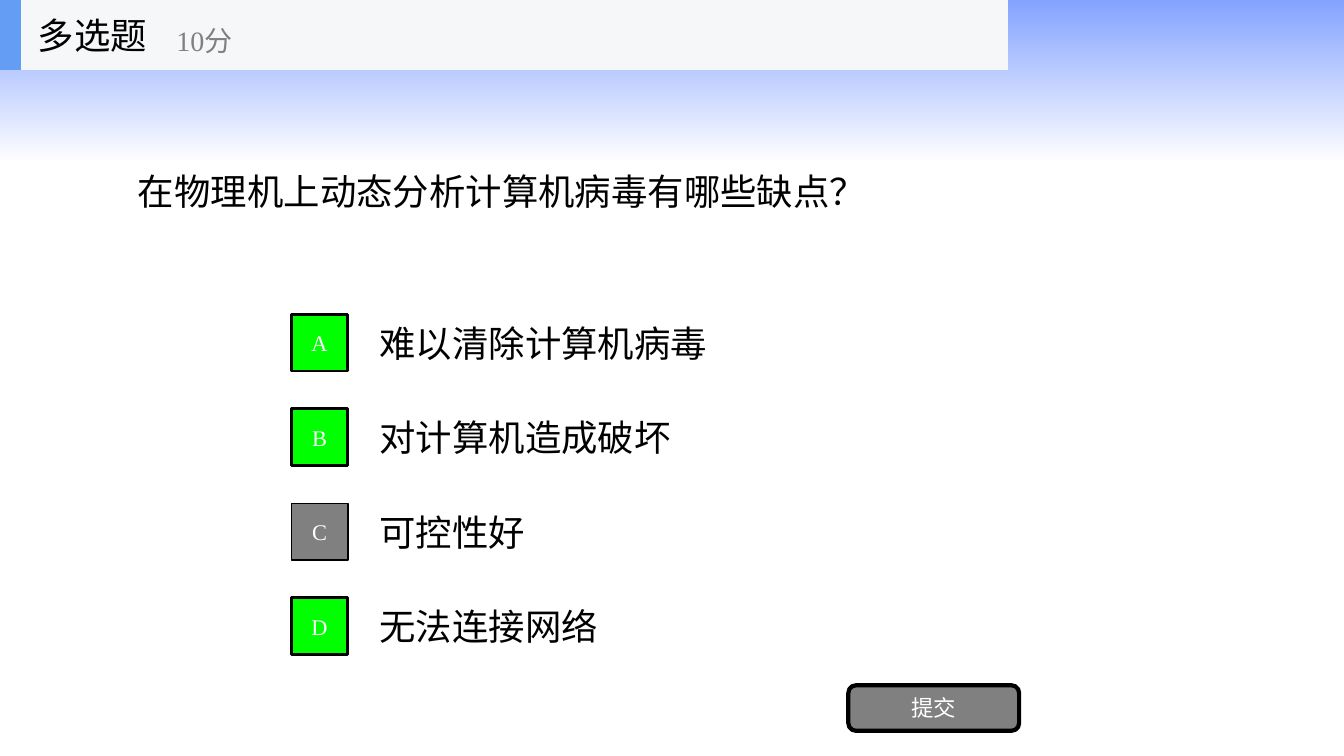
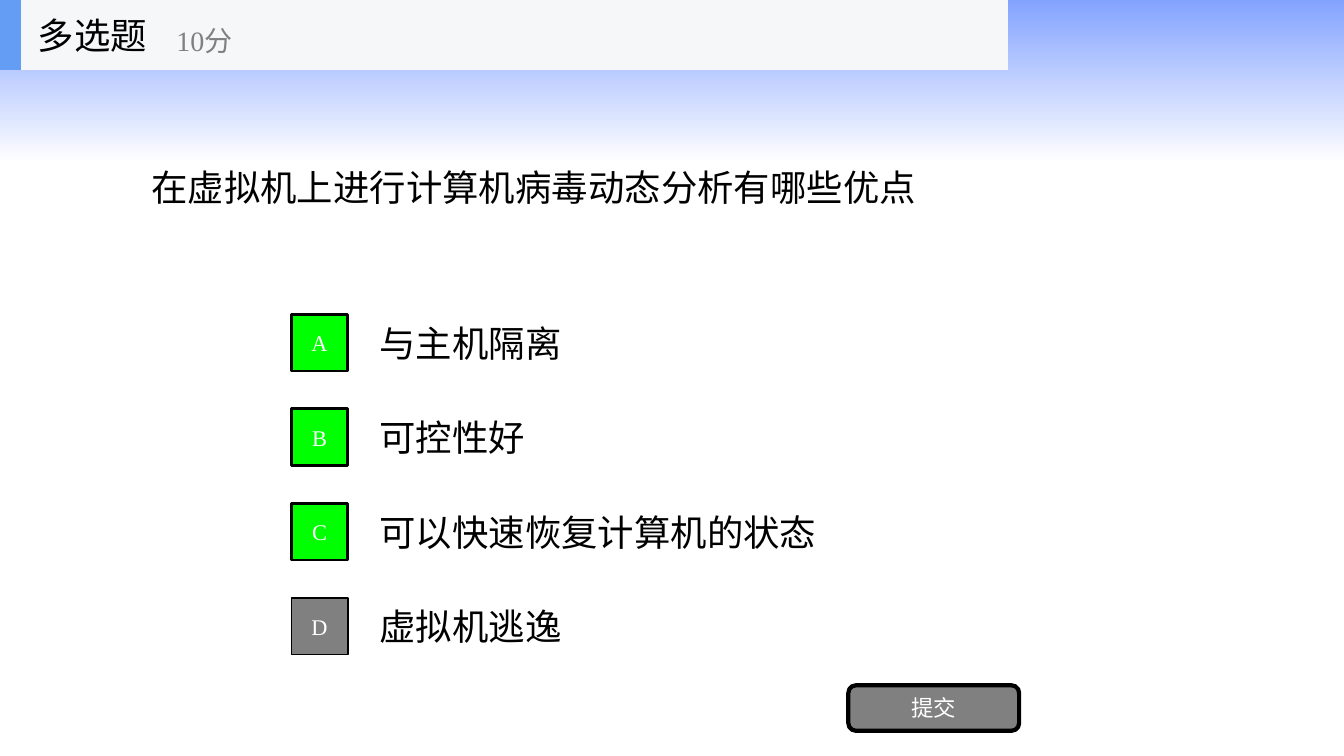
import pptx
import pptx.util
import pptx.dml.color
import pptx.enum.shapes
import pptx.enum.text

Pt = pptx.util.Pt
RECTANGLE = pptx.enum.shapes.MSO_SHAPE.RECTANGLE
ROUNDED = pptx.enum.shapes.MSO_SHAPE.ROUNDED_RECTANGLE
ALIGN = pptx.enum.text.PP_ALIGN
FONT = "Times New Roman"
COLOURS = {
    "black": "000000",
    "white": "FFFFFF",
    "grey": "808080",
    "correct": "00FF00",
    "header": "F6F7F8",
    "accent": "639EF4",
    "sky": "84A3FF",
}

QUESTIONS = [
    {
        "text": "在物理机上动态分析计算机病毒有哪些缺点？",
        "place": (91.5, 52.5, 704, 168.5),
        "options": ["难以清除计算机病毒", "对计算机造成破坏", "可控性好", "无法连接网络"],
        "correct": "ABD",
    },
    {
        "text": "在虚拟机上进行计算机病毒动态分析有哪些优点",
        "place": (101, 49.5, 667.5, 168.5),
        "options": ["与主机隔离", "可控性好", "可以快速恢复计算机的状态", "虚拟机逃逸"],
        "correct": "ABC",
    },
]

# Option rows
ROW_TOP, ROW_HEIGHT, ROW_PITCH = 219.5, 50.5, 67.5
BADGE_SIZE = 40.5


def add_block(page, place, fill, preset=RECTANGLE, line_width=0):
    """Add a preset shape with a plain fill and an optional black outline."""
    block = page.shapes.add_shape(preset, *map(Pt, place))
    block.shadow.inherit = False
    block.fill.solid()
    block.fill.fore_color.rgb = pptx.dml.color.RGBColor.from_string(COLOURS[fill])
    if line_width:
        block.line.color.rgb = pptx.dml.color.RGBColor.from_string(COLOURS["black"])
        block.line.width = Pt(line_width)
    else:
        block.line.fill.background()
    return block


def add_text(page, text, place=None, box=None, size=26, colour="black", align=ALIGN.LEFT):
    """Write text into the given box, or into a new text box at place."""
    box = box or page.shapes.add_textbox(*map(Pt, place))
    frame = box.text_frame
    frame.word_wrap = True
    frame.vertical_anchor = pptx.enum.text.MSO_ANCHOR.MIDDLE
    para = frame.paragraphs[0]
    para.alignment = align
    span = para.add_run()
    span.text = text
    span.font.name = FONT
    span.font.size = Pt(size)
    span.font.color.rgb = pptx.dml.color.RGBColor.from_string(COLOURS[colour])


deck = pptx.Presentation()
deck.slide_width, deck.slide_height = Pt(960), Pt(540)
label_format = {"size": 16, "colour": "white", "align": ALIGN.CENTER}

for question in QUESTIONS:
    page = deck.slides.add_slide(deck.slide_layouts[6])

    # Fading band across the top
    band = add_block(page, (0, 0, 960, 116.5), "sky")
    band.fill.gradient()
    band.fill.gradient_angle = 270
    for stop, position, colour in zip(band.fill.gradient_stops, (0, 1), ("sky", "white")):
        stop.position = position
        stop.color.rgb = pptx.dml.color.RGBColor.from_string(COLOURS[colour])

    # Question
    add_text(page, question["text"], question["place"])

    # Options, each with a lettered badge centred on its row
    for row, (letter, option) in enumerate(zip("ABCD", question["options"])):
        top = ROW_TOP + row * ROW_PITCH
        add_text(page, option, (264, top, 504, ROW_HEIGHT))
        correct = letter in question["correct"]
        badge_top = top + (ROW_HEIGHT - BADGE_SIZE) / 2
        badge = add_block(page, (208, badge_top, BADGE_SIZE, BADGE_SIZE),
                          "correct" if correct else "grey",
                          line_width=2 if correct else 1)
        add_text(page, letter, box=badge, **label_format)

    # Submit button
    button = add_block(page, (606, 489.5, 122, 32.5), "grey", ROUNDED, line_width=3)
    add_text(page, "提交", box=button, **label_format)

    # Header bar with question type and score
    add_block(page, (0, 0, 720, 50), "header")
    add_block(page, (0, 0, 15, 50), "accent")
    add_text(page, "多选题", (20, 0, 150, 50))
    add_text(page, "10分", (119, 9, 180, 40), size=20, colour="grey")

deck.save("out.pptx")
